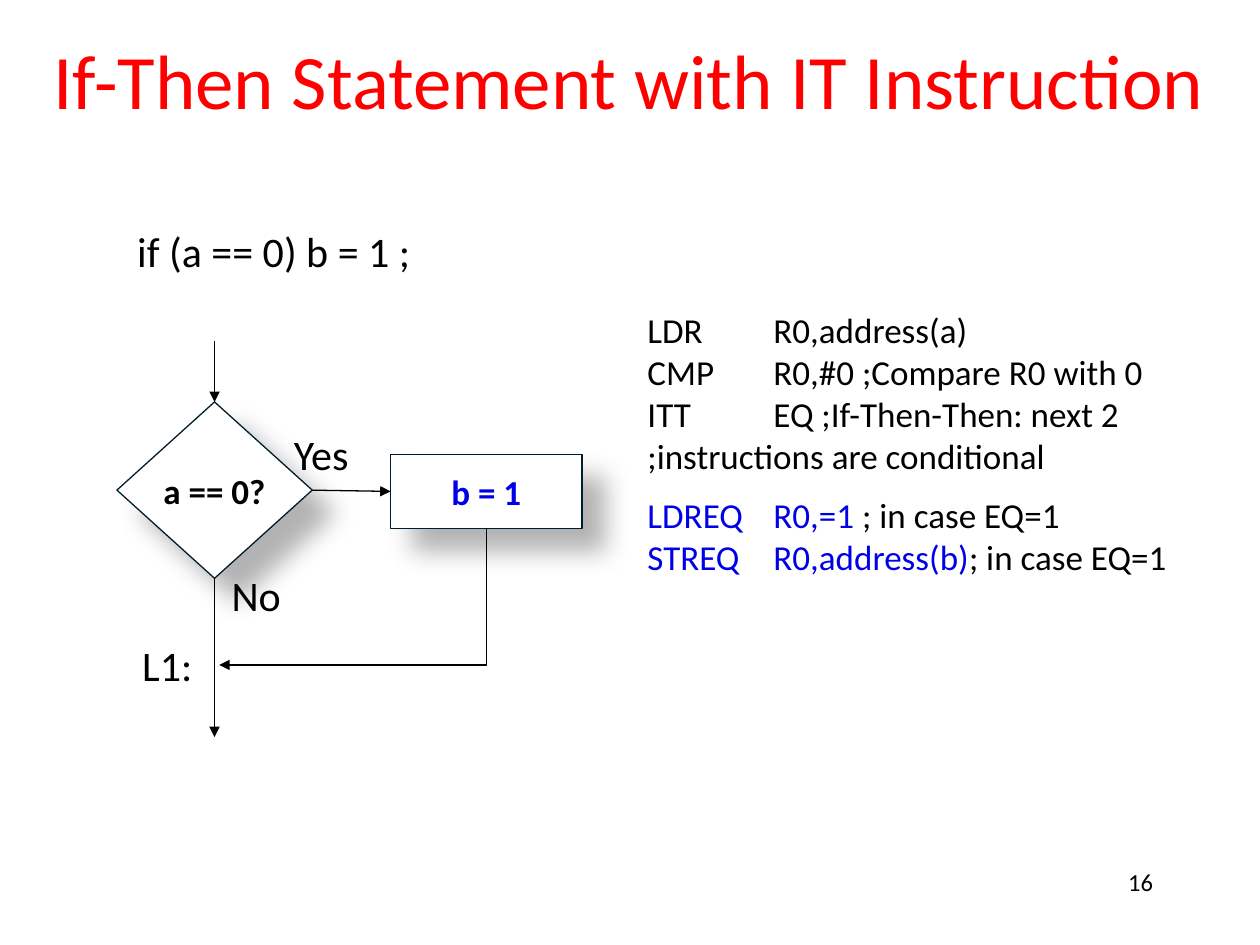
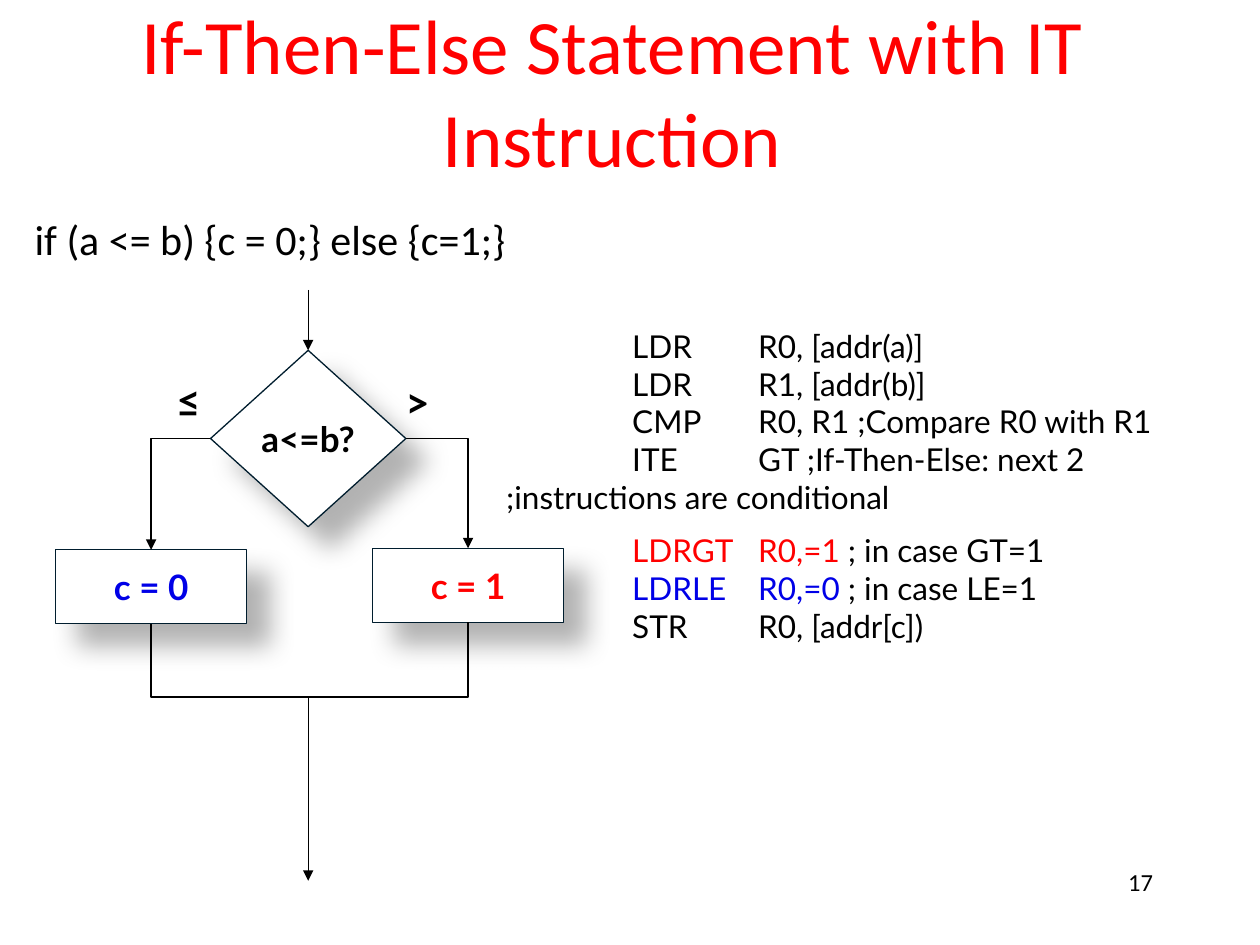
from lxml import etree
from pptx import Presentation
from pptx.dml.color import RGBColor
from pptx.enum.shapes import MSO_CONNECTOR, MSO_SHAPE
from pptx.enum.text import MSO_ANCHOR, PP_ALIGN
from pptx.oxml import parse_xml
from pptx.oxml.ns import nsdecls, qn
from pptx.util import Pt

STRAIGHT, ELBOW = MSO_CONNECTOR.STRAIGHT, MSO_CONNECTOR.ELBOW
DIAMOND, RECTANGLE = MSO_SHAPE.DIAMOND, MSO_SHAPE.RECTANGLE
LEFT, CENTER, RIGHT = PP_ALIGN.LEFT, PP_ALIGN.CENTER, PP_ALIGN.RIGHT
TOP, MIDDLE = MSO_ANCHOR.TOP, MSO_ANCHOR.MIDDLE

WHITE = RGBColor(0xFF, 0xFF, 0xFF)
BLACK = RGBColor(0, 0, 0)
RED = RGBColor(0xFF, 0, 0)
BLUE = RGBColor(0, 0, 0xE7)
OUTLINE = RGBColor(0, 0x1D, 0x2E)

MAIN_FONT, SECOND_FONT = "Calibri", "Lato"
DIAMOND_SIZE = (111.6, 100.8)
BOX_SIZE = (109.4, 42.3)
LABEL_SIZE = (80, 36)
CODE_TABS = (72, 144)
SHADOW = (
    f'<a:effectLst {nsdecls("a")}>'
    f'<a:outerShdw blurRad="{Pt(15)}" dist="{Pt(18)}" dir="2700000" algn="tl" rotWithShape="0">'
    '<a:srgbClr val="000000"><a:alpha val="30000"/></a:srgbClr>'
    '</a:outerShdw></a:effectLst>'
)


def format_font(font, size, color, name, bold=False):
    font.size = Pt(size)
    font.color.rgb = color
    font.name = name
    font.bold = bold


def add_text(slide, text, left, top, width, height, size=24, color=BLACK,
             name=MAIN_FONT, bold=False, align=LEFT, anchor=TOP):
    box = slide.shapes.add_textbox(Pt(left), Pt(top), Pt(width), Pt(height))
    frame = box.text_frame
    frame.word_wrap = True
    frame.vertical_anchor = anchor
    frame.text = text
    paragraph = frame.paragraphs[0]
    paragraph.alignment = align
    for run in paragraph.runs:
        format_font(run.font, size, color, name, bold)


def add_title(slide, text, left, top, width):
    add_text(slide, text, left, top, width, 90, size=44, color=RED,
             align=CENTER, anchor=MIDDLE)


def add_slide_number(slide, number):
    add_text(slide, str(number), 516.2, 491.8, 149.8, 36, size=14, align=RIGHT)


def add_label(slide, text, left, top, **style):
    add_text(slide, text, left, top, *LABEL_SIZE, **style)


def add_tab_stops(paragraph):
    tab_list = etree.SubElement(paragraph._p.get_or_add_pPr(), qn("a:tabLst"))
    for position in CODE_TABS:
        etree.SubElement(tab_list, qn("a:tab"), pos=str(Pt(position)), algn="l")


def add_code(slide, left, top, width, height, size, name, groups):
    """Write groups of lines; a line is a list of (text, color) pieces."""
    box = slide.shapes.add_textbox(Pt(left), Pt(top), Pt(width), Pt(height))
    frame = box.text_frame
    frame.word_wrap = True
    paragraph = frame.paragraphs[0]
    for group_index, group in enumerate(groups):
        for line_index, line in enumerate(group):
            if group_index or line_index:
                paragraph = frame.add_paragraph()
            add_tab_stops(paragraph)
            if group_index and not line_index:
                paragraph.space_before = Pt(size * 0.48)
            for text, color in line:
                run = paragraph.add_run()
                run.text = text
                format_font(run.font, size, color, name)


def add_node(slide, kind, text, left, top, size, color=BLACK, name=MAIN_FONT):
    """Add a flowchart step with a soft shadow."""
    width, height = size
    shape = slide.shapes.add_shape(kind, Pt(left), Pt(top), Pt(width), Pt(height))
    shape.fill.solid()
    shape.fill.fore_color.rgb = WHITE
    shape.line.color.rgb = OUTLINE
    shape.line.width = Pt(0.75)
    shape._element.spPr.append(parse_xml(SHADOW))
    frame = shape.text_frame
    frame.word_wrap = False
    frame.vertical_anchor = MIDDLE
    frame.text = text
    paragraph = frame.paragraphs[0]
    paragraph.alignment = CENTER
    format_font(paragraph.runs[0].font, 20, color, name, bold=True)


def add_connector(slide, kind, start, end, arrow="tailEnd"):
    """Join two points; arrow is tailEnd (at end), headEnd (at start) or None.

    An elbow runs horizontally from start, then vertically to end.
    """
    connector = slide.shapes.add_connector(kind, *(Pt(value) for value in start + end))
    connector.line.color.rgb = BLACK
    connector.line.width = Pt(0.75)
    properties = connector._element.spPr
    if kind == ELBOW:
        properties.find(qn("a:prstGeom")).set("prst", "bentConnector2")
    if arrow:
        etree.SubElement(properties.find(qn("a:ln")), qn(f"a:{arrow}"), type="triangle")
    etree.SubElement(properties, qn("a:effectLst"))


def build_if_then(slide):
    add_title(slide, "If-Then Statement with IT Instruction", 18.7, 0, 681.8)
    add_code(slide, 362.9, 172.7, 350, 165, 20, MAIN_FONT, [
        [[("LDR\tR0,address(a)", BLACK)],
         [("CMP\tR0,#0 ;Compare R0 with 0", BLACK)],
         [("ITT\tEQ ;If-Then-Then: next 2", BLACK)],
         [(";instructions are conditional", BLACK)]],
        [[("LDREQ\tR0,=1 ", BLUE), ("; in case EQ=1", BLACK)],
         [("STREQ\tR0,address(b)", BLUE), ("; in case EQ=1", BLACK)]],
    ])
    add_node(slide, DIAMOND, "a == 0?", 66.8, 229.7, DIAMOND_SIZE)
    add_node(slide, RECTANGLE, "b = 1", 223.2, 259.6, BOX_SIZE, BLUE)

    main_x, box_x = 122.6, 277.9
    add_connector(slide, STRAIGHT, (main_x, 195.1), (main_x, 229.7))
    add_connector(slide, STRAIGHT, (178.4, 280.1), (223.2, 280.8))
    add_connector(slide, STRAIGHT, (main_x, 330.5), (main_x, 421.2))
    add_connector(slide, ELBOW, (125.3, 380), (box_x, 301.9), "headEnd")

    add_label(slide, "Yes", 160.8, 241.2)
    add_label(slide, "No", 125.3, 321.8)
    add_label(slide, "L1:", 74.2, 362)
    add_text(slide, "if (a == 0) b = 1 ;", 71.3, 125.3, 228, 36)
    add_slide_number(slide, 16)


def build_if_then_else(slide):
    add_title(slide, "If-Then-Else Statement with IT Instruction", 43.9, 6.6, 612)
    add_code(slide, 282.2, 183.2, 409.7, 193, 18, SECOND_FONT, [
        [[("\tLDR\tR0, [addr(a)]", BLACK)],
         [("\tLDR\tR1, [addr(b)]", BLACK)],
         [("\tCMP\tR0, R1 ;Compare R0 with R1", BLACK)],
         [("\tITE\tGT ;If-Then-Else: next 2", BLACK)],
         [(";instructions are conditional", BLACK)]],
        [[("\tLDRGT\tR0,=1 ", RED), ("; in case GT=1", BLACK)],
         [("\tLDRLE\tR0,=0 ", BLUE), ("; in case LE=1", BLACK)],
         [("\tSTR\tR0, [addr[c])", BLACK)]],
    ])
    main_x, decision_y, merge_y = 176.1, 250.6, 398.3
    decision_left = main_x - DIAMOND_SIZE[0] / 2
    add_node(slide, DIAMOND, "a<=b?", decision_left, 200.2, DIAMOND_SIZE, name=SECOND_FONT)
    add_connector(slide, STRAIGHT, (main_x, 165.6), (main_x, 200.2))

    branches = [
        ("c = 0", BLUE, 31.7, 314.2, decision_left),
        ("c = 1", RED, 212.8, 313.3, decision_left + DIAMOND_SIZE[0]),
    ]
    for text, color, left, top, exit_x in branches:
        box_x = left + BOX_SIZE[0] / 2
        add_node(slide, RECTANGLE, text, left, top, BOX_SIZE, color, SECOND_FONT)
        add_connector(slide, ELBOW, (exit_x, decision_y), (box_x, top))
        add_connector(slide, ELBOW, (main_x, merge_y), (box_x, top + BOX_SIZE[1]), None)
    add_connector(slide, STRAIGHT, (main_x, merge_y), (main_x, 503.3))

    add_label(slide, ">", 224.6, 211.4, name=SECOND_FONT, bold=True)
    add_label(slide, "≤", 93.6, 210.8, name=SECOND_FONT, bold=True)
    add_text(slide, "if (a <= b) {c = 0;} else {c=1;}", 12.7, 118.4, 291.6, 36)
    add_slide_number(slide, 17)


def main():
    presentation = Presentation()
    presentation.slide_width, presentation.slide_height = Pt(720), Pt(540)
    blank = presentation.slide_layouts[6]
    for build in (build_if_then, build_if_then_else):
        build(presentation.slides.add_slide(blank))
    presentation.save("out.pptx")


if __name__ == "__main__":
    main()
